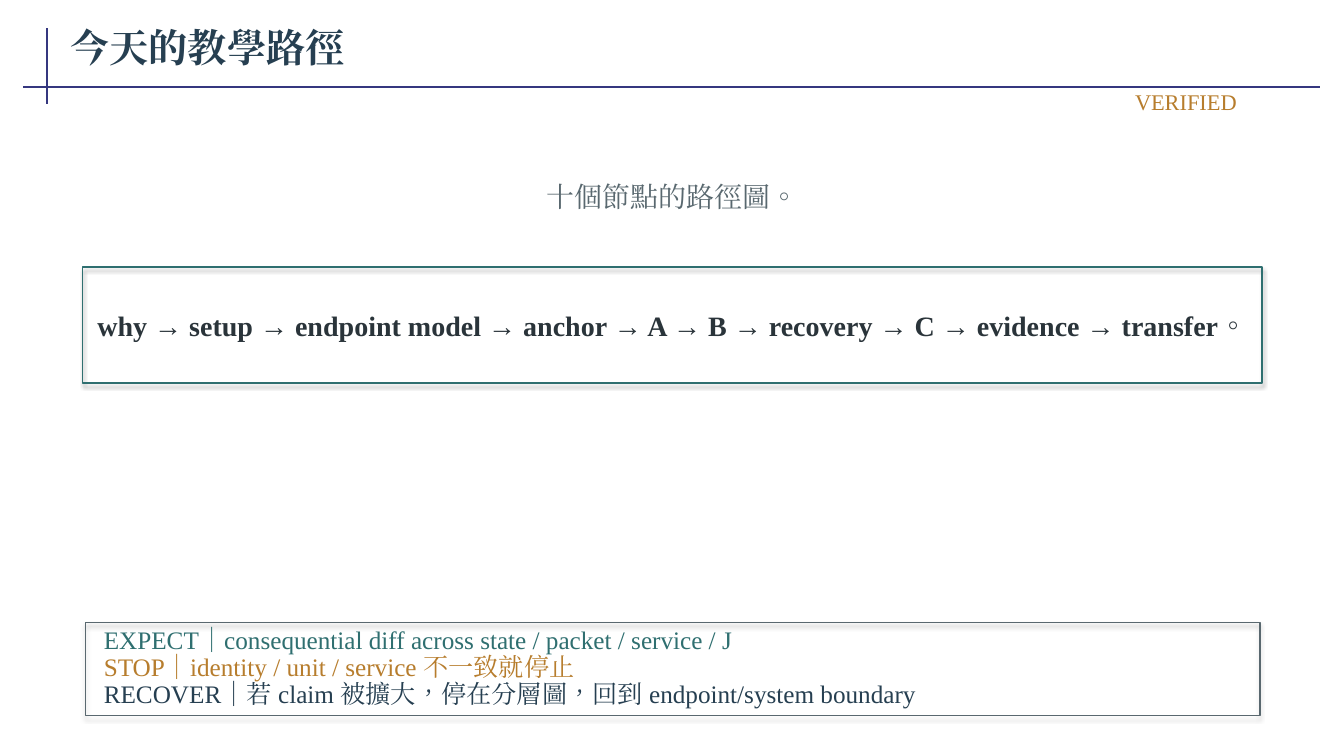
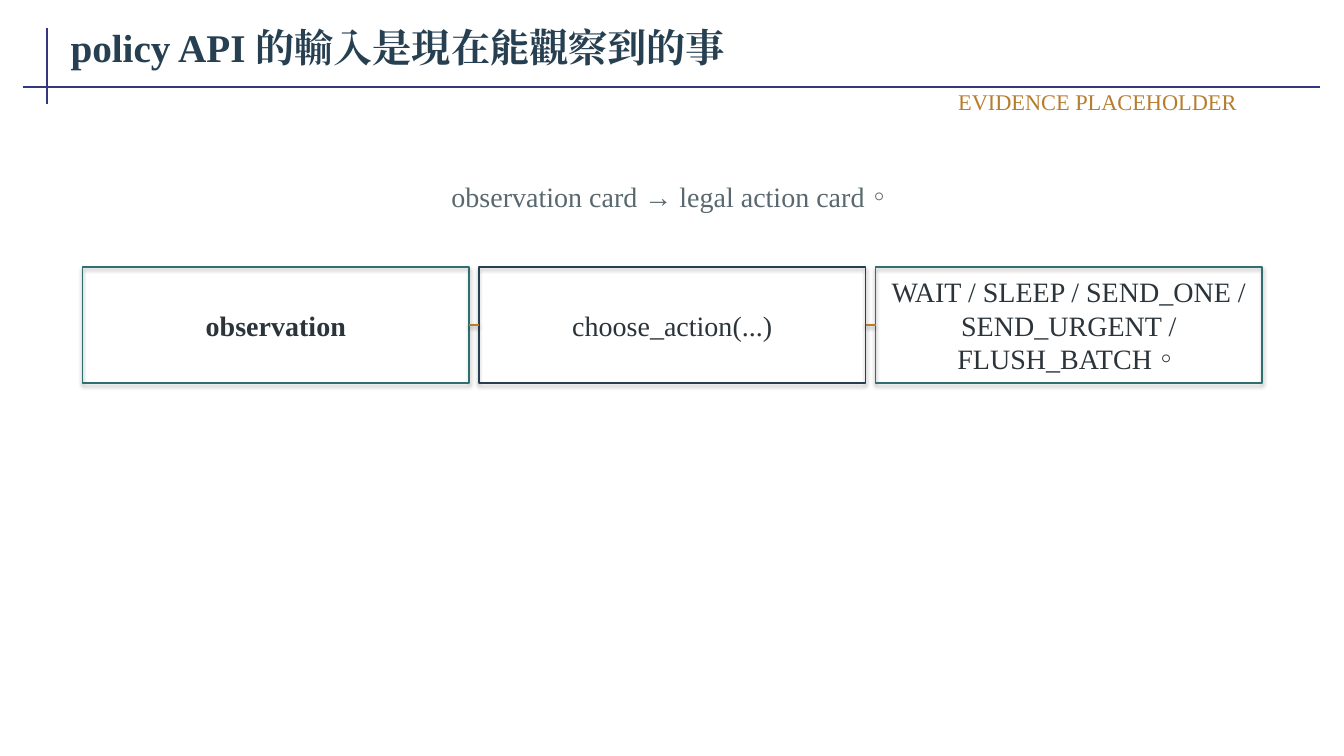
from lxml import etree
from pptx import Presentation
from pptx.dml.color import RGBColor
from pptx.enum import lang, shapes, text
from pptx.oxml import ns
from pptx.util import Pt

INDIGO = RGBColor(0x35, 0x37, 0x7F)
NAVY = RGBColor(0x26, 0x3F, 0x51)
TEAL = RGBColor(0x2F, 0x6F, 0x70)
AMBER = RGBColor(0xB7, 0x7D, 0x2D)
SLATE = RGBColor(0x59, 0x68, 0x6F)
INK = RGBColor(0x2A, 0x34, 0x3A)
FONT = "Times New Roman"
LEFT, CENTER, RIGHT = text.PP_ALIGN.LEFT, text.PP_ALIGN.CENTER, text.PP_ALIGN.RIGHT

TITLE_BOX = (44.64, 10.8, 899.28, 44.64)
STATUS_BOX = (658.8, 61.92, 230.4, 21.6)
LEAD_BOX = (66.24, 118.8, 828, 43.2)
FLOW_BOX = (59.04, 190.8, 842.4, 82.8)
CHECKS_BOX = (61.2, 444.96, 838.8, 66.24)
RULES = [(33.84, 20.16, 33.84, 74.16), (16.56, 61.92, 943.2, 61.92)]


def points(*lengths):
    return [Pt(length) for length in lengths]


def add_effects(shape, alpha=None, distance=0):
    effects = etree.SubElement(shape.element.spPr, ns.qn("a:effectLst"))
    if alpha is not None:
        shadow = etree.SubElement(
            effects, ns.qn("a:outerShdw"), blurRad=str(int(Pt(3.1))),
            dist=str(int(Pt(distance))), dir="5400000", rotWithShape="0")
        color = etree.SubElement(shadow, ns.qn("a:srgbClr"), val="000000")
        etree.SubElement(color, ns.qn("a:alpha"), val=str(alpha * 1000))


def write(shape, wording, size, color, align, bold=False):
    frame = shape.text_frame
    frame.word_wrap = True
    frame.vertical_anchor = text.MSO_ANCHOR.MIDDLE
    frame.margin_left = frame.margin_right = Pt(5.76)
    frame.margin_top = frame.margin_bottom = Pt(2.88)
    paragraph = frame.paragraphs[0]
    paragraph.alignment = align
    run = paragraph.add_run()
    run.text = wording
    font = run.font
    font.size, font.bold, font.name = Pt(size), bold, FONT
    font.color.rgb = color
    font.language_id = lang.MSO_LANGUAGE_ID.TRADITIONAL_CHINESE
    latin = font._element.find(ns.qn("a:latin"))
    latin.addnext(etree.Element(ns.qn("a:ea"), typeface=FONT))


def add_text(slide, box, wording, size, color, align, bold=False):
    label = slide.shapes.add_textbox(*points(*box))
    write(label, wording, size, color, align, bold)
    label.text_frame.auto_size = text.MSO_AUTO_SIZE.SHAPE_TO_FIT_TEXT


def add_frame(slide, box, color, width):
    frame = slide.shapes.add_shape(shapes.MSO_SHAPE.RECTANGLE, *points(*box))
    frame.fill.background()
    frame.line.color.rgb = color
    frame.line.width = Pt(width)
    add_effects(frame, 35, 1.8)
    return frame


def add_line(slide, ends, color, width):
    line = slide.shapes.add_connector(shapes.MSO_CONNECTOR.STRAIGHT, *points(*ends))
    line.line.color.rgb = color
    line.line.width = Pt(width)
    return line


def prepare_layout(presentation):
    layout = presentation.slide_layouts.get_by_name("Title Only")
    title = layout.placeholders[0]
    title.left, title.top, title.width, title.height = points(*TITLE_BOX)
    scratch = presentation.slides.add_slide(layout)
    for number, ends in enumerate(RULES):
        rule = add_line(scratch, ends, INDIGO, 1.5)
        add_effects(rule)
        rule.element.nvCxnSpPr.cNvPr.set("id", str(100 + number))
        layout.shapes.element.append(rule.element)
    return scratch


def add_header(slide, title, status, lead):
    write(slide.shapes.title, title, 28, NAVY, LEFT, True)
    add_text(slide, LEAD_BOX, lead, 20, SLATE, CENTER)
    add_text(slide, STATUS_BOX, status, 16, AMBER, RIGHT)


def add_flow(slide, box, steps, gap=7.2):
    left, top, width, height = box
    card_width = (width - gap * (len(steps) - 1)) / len(steps)
    previous = None
    for index, (wording, color) in enumerate(steps):
        x = left + index * (card_width + gap)
        card = add_frame(slide, (x, top, card_width, height), color, 1.2)
        add_text(slide, (x + 3.6, top + 7.2, card_width - 7.2, height - 14.4),
                 wording, 20, INK, CENTER, index == 0)
        if previous is not None:
            middle = top + height / 2
            link = add_line(slide, (x - gap, middle, x, middle), AMBER, 1.2)
            link.begin_connect(previous, 3)
            link.end_connect(card, 1)
            add_effects(link, 38, 1.6)
        previous = card


def add_checks(slide, box, checks, pitch=19.44):
    left, top, width, _ = box
    add_frame(slide, box, SLATE, 0.8)
    for index, (wording, color) in enumerate(checks):
        add_text(slide, (left + 7.2, top + 2.16 + index * pitch, width - 14.4, 18.72),
                 wording, 18, color, LEFT)


def build_route(slide):
    add_header(slide, "今天的教學路徑", "VERIFIED", "十個節點的路徑圖。")
    add_flow(slide, FLOW_BOX, [
        ("why → setup → endpoint model → anchor → A → B → recovery → C → "
         "evidence → transfer。", TEAL)])
    add_checks(slide, CHECKS_BOX, [
        ("EXPECT｜consequential diff across state / packet / service / J", TEAL),
        ("STOP｜identity / unit / service 不一致就停止", AMBER),
        ("RECOVER｜若 claim 被擴大，停在分層圖，回到 endpoint/system boundary", NAVY)])


def build_policy(slide):
    add_header(slide, "policy API 的輸入是現在能觀察到的事", "EVIDENCE PLACEHOLDER",
               "observation card → legal action card。")
    add_flow(slide, FLOW_BOX, [
        ("observation", TEAL),
        ("choose_action(...)", NAVY),
        ("WAIT / SLEEP / SEND_ONE / SEND_URGENT / FLUSH_BATCH。", TEAL)])


def main():
    presentation = Presentation()
    presentation.slide_width, presentation.slide_height = points(960, 540)
    first = prepare_layout(presentation)
    build_route(first)
    build_policy(presentation.slides.add_slide(first.slide_layout))
    presentation.save("out.pptx")


if __name__ == "__main__":
    main()
